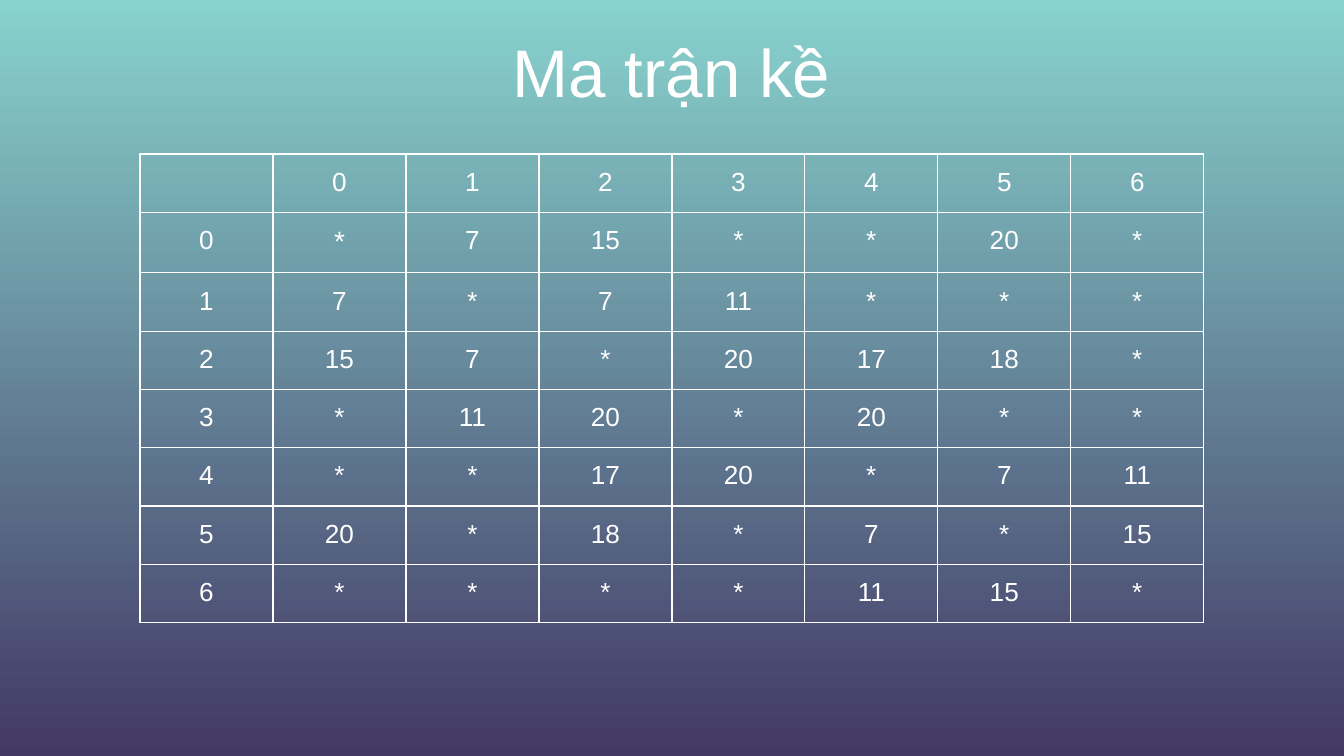
from lxml import etree
from pptx import Presentation
from pptx.dml.color import RGBColor
from pptx.enum.text import MSO_ANCHOR, PP_ALIGN
from pptx.oxml.ns import qn
from pptx.util import Pt

CENTER = PP_ALIGN.CENTER
MIDDLE = MSO_ANCHOR.MIDDLE
VERTICES = range(7)
EDGES = {
    (0, 1): 7, (0, 2): 15, (0, 5): 20, (1, 2): 7, (1, 3): 11, (2, 3): 20,
    (2, 4): 17, (2, 5): 18, (3, 4): 20, (4, 5): 7, (4, 6): 11, (5, 6): 15,
}


def rgb(value):
    """Turn a hex string into a colour."""
    return RGBColor.from_string(value)


def adjacency_rows():
    """Return the labelled adjacency matrix as rows of text."""
    rows = [[""] + [str(v) for v in VERTICES]]
    for a in VERTICES:
        weights = [EDGES.get((min(a, b), max(a, b)), "*") for b in VERTICES]
        rows.append([str(a)] + [str(w) for w in weights])
    return rows


class Deck:
    """Hold the style and the current slide."""

    font = "Arial"
    white = "FFFFFF"
    inset = Pt(7.2)
    border = Pt(0.75)

    def __init__(self, prs):
        """Add a blank slide to the presentation."""
        self.s = prs.slides.add_slide(prs.slide_layouts[6])

    def background(self, top, bottom):
        """Fill the slide with a vertical gradient."""
        fill = self.s.background.fill
        fill.gradient()
        fill.gradient_angle = 270
        for stop, color in zip(fill.gradient_stops, (top, bottom)):
            stop.color.rgb = rgb(color)

    def set_text(self, tf, text, size):
        """Put one centred line of styled text in a frame."""
        p = tf.paragraphs[0]
        p.text = text
        p.alignment = CENTER
        for r in p.runs:
            r.font.name = self.font
            r.font.size = Pt(size)
            r.font.color.rgb = rgb(self.white)
        if not text:
            etree.SubElement(p._p, qn("a:endParaRPr"), sz=str(size * 100))

    def title(self, text, x, y, w, h, size):
        """Add the slide title."""
        sp = self.s.shapes.add_textbox(Pt(x), Pt(y), Pt(w), Pt(h))
        tf = sp.text_frame
        tf.word_wrap = True
        tf.vertical_anchor = MIDDLE
        tf.margin_left = tf.margin_right = self.inset
        tf.margin_top = tf.margin_bottom = self.inset
        self.set_text(tf, text, size)

    def outline(self, cell):
        """Draw the four borders of a cell."""
        tc_pr = cell._tc.get_or_add_tcPr()
        for i, side in enumerate(("lnL", "lnR", "lnT", "lnB")):
            ln = etree.Element(qn(f"a:{side}"), w=str(self.border))
            fill = etree.SubElement(ln, qn("a:solidFill"))
            etree.SubElement(fill, qn("a:srgbClr"), val=self.white)
            tc_pr.insert(i, ln)

    def table(self, rows, x, y, col_w, row_h, size):
        """Add an unfilled, bordered table with equal cells."""
        n, m = len(rows), len(rows[0])
        frame = self.s.shapes.add_table(
            n, m, Pt(x), Pt(y), Pt(col_w * m), Pt(row_h * n))
        table = frame.table
        table.first_row = table.horz_banding = False
        for col in table.columns:
            col.width = Pt(col_w)
        for row, values in zip(table.rows, rows):
            row.height = Pt(row_h)
            for cell, value in zip(row.cells, values):
                cell.margin_left = cell.margin_right = self.inset
                cell.margin_top = cell.margin_bottom = self.inset
                cell.fill.background()
                self.outline(cell)
                self.set_text(cell.text_frame, value, size)
        return table


def main():
    """Build the adjacency matrix slide."""
    prs = Presentation()
    prs.slide_width, prs.slide_height = Pt(720), Pt(405)
    deck = Deck(prs)
    deck.background("88D3CE", "423864")
    deck.title("Ma trận kề", 37.5, 11.5, 644.5, 52.5, 36)
    table = deck.table(adjacency_rows(), 75, 82.5, 71.25, 30, 14)
    table.cell(1, 1).text_frame.paragraphs[0].runs[0].font.size = Pt(15)
    prs.save("out.pptx")


if __name__ == "__main__":
    main()
